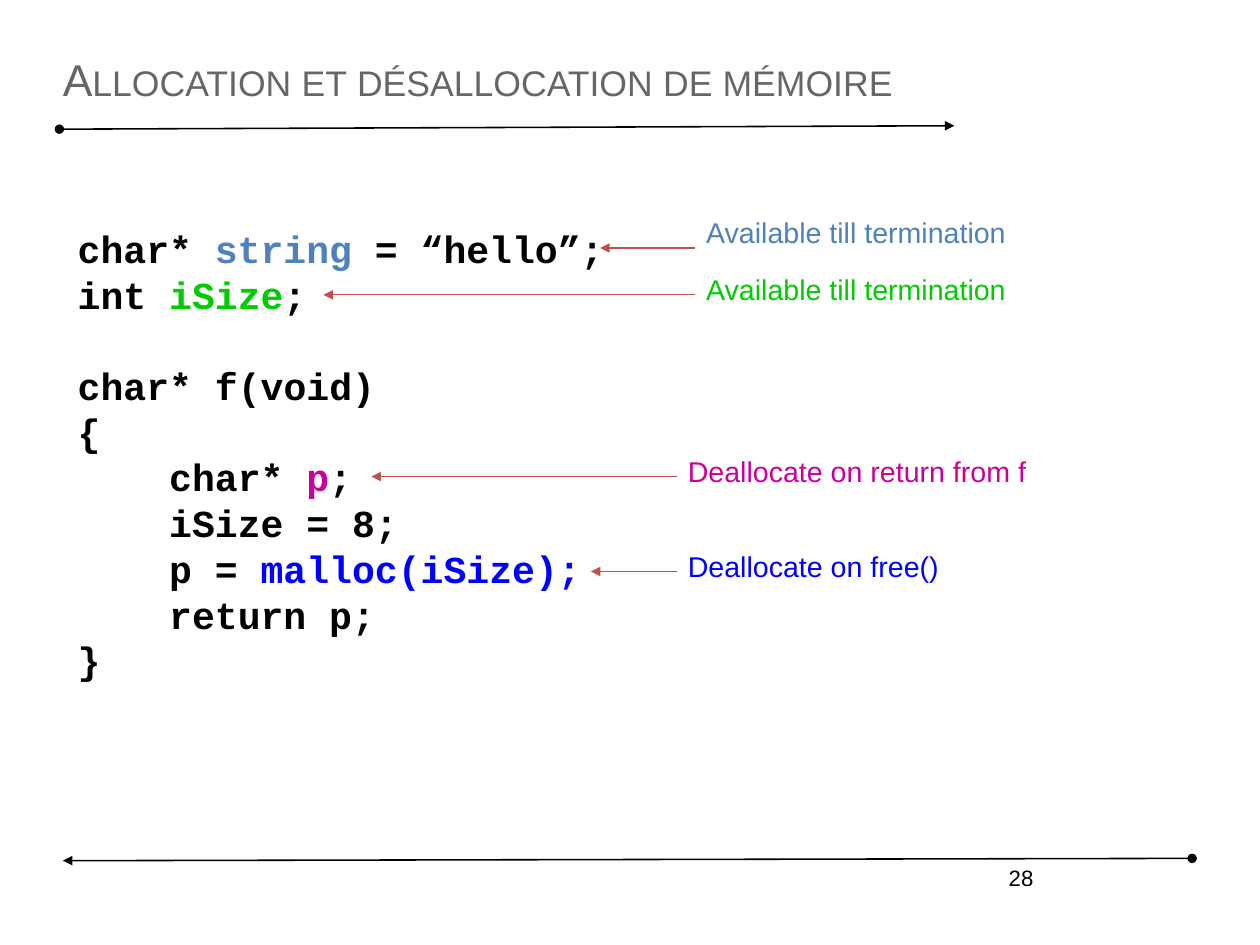
from lxml.etree import SubElement
from pptx import Presentation
from pptx.dml.color import RGBColor
from pptx.enum.shapes import MSO_CONNECTOR
from pptx.enum.text import MSO_ANCHOR, MSO_AUTO_SIZE, PP_ALIGN
from pptx.oxml.ns import qn
from pptx.util import Cm, Inches, Pt

BLACK = RGBColor(0x00, 0x00, 0x00)
GREY = RGBColor(0x66, 0x66, 0x66)
STEEL = RGBColor(0x4F, 0x81, 0xBD)
GREEN = RGBColor(0x00, 0xCC, 0x00)
MAGENTA = RGBColor(0xCC, 0x00, 0x99)
BLUE = RGBColor(0x00, 0x00, 0xFF)
RED = RGBColor(0xC0, 0x50, 0x4D)

CODE_LINE = Pt(28.8)
CODE_INDENT = Inches(0.8)

# Each line: indent level, blank lines above, coloured pieces
CODE = [
    (0, 0, [("char* ", BLACK), ("string", STEEL), (" = “hello”;", BLACK)]),
    (0, 0, [("int ", BLACK), ("iSize", GREEN), (";", BLACK)]),
    (0, 1, [("char* f(void)", BLACK)]),
    (0, 0, [("{", BLACK)]),
    (1, 0, [("char* ", BLACK), ("p", MAGENTA), (";", BLACK)]),
    (1, 0, [("iSize = 8;", BLACK)]),
    (1, 0, [("p = ", BLACK), ("malloc(iSize);", BLUE)]),
    (1, 0, [("return p;", BLACK)]),
    (0, 0, [("}", BLACK)]),
]

# Each note: text, colour, left, top, width, arrow tip
NOTES = [
    ("Available till termination", STEEL, 6.08, 1.83, 3.56, (5.25, 2.17)),
    ("Available till termination", GREEN, 6.08, 2.33, 3.56, (2.83, 2.58)),
    ("Deallocate on return from f", MAGENTA, 5.92, 3.92, 3.84, (3.25, 4.17)),
    ("Deallocate on free()", BLUE, 5.92, 4.75, 2.86, (5.17, 5)),
]
NOTE_HEIGHT = 0.5


class SlideBuilder:
    font = "Arial"
    code_font = "Courier New"

    def __init__(self, slide):
        self.slide = slide

    def place(self, shape, left, top, width, height):
        shape.left, shape.top = Inches(left), Inches(top)
        shape.width, shape.height = Inches(width), Inches(height)

    def format_run(self, run, size, color, font=None, bold=False):
        run.font.name = font or self.font
        run.font.size = Pt(size)
        run.font.bold = bold
        run.font.color.rgb = color

    def title(self, text, *box):
        shape = self.slide.shapes.title
        self.place(shape, *box)
        frame = shape.text_frame
        frame.text = text
        frame.auto_size = MSO_AUTO_SIZE.NONE
        frame.vertical_anchor = MSO_ANCHOR.MIDDLE
        frame.margin_left = frame.margin_right = 0
        frame.margin_top = frame.margin_bottom = 0
        paragraph = frame.paragraphs[0]
        paragraph.alignment = PP_ALIGN.LEFT
        run = paragraph.runs[0]
        self.format_run(run, 28, GREY)
        run.font._element.set("cap", "small")

    def code(self, lines, *box):
        shape = self.slide.placeholders[1]
        self.place(shape, *box)
        frame = shape.text_frame
        frame.auto_size = MSO_AUTO_SIZE.NONE
        for number, (level, blanks, pieces) in enumerate(lines):
            paragraph = frame.add_paragraph() if number else frame.paragraphs[0]
            paragraph.line_spacing = CODE_LINE
            paragraph.space_before = Pt(blanks * CODE_LINE.pt)
            properties = paragraph._p.get_or_add_pPr()
            properties.set("marL", str(level * CODE_INDENT))
            properties.set("indent", "0")
            SubElement(properties, qn("a:buNone"))
            for text, color in pieces:
                run = paragraph.add_run()
                run.text = text
                self.format_run(run, 24, color, self.code_font, True)

    def text(self, text, size, color, *box, alignment=PP_ALIGN.LEFT):
        shape = self.slide.shapes.add_textbox(*map(Inches, box))
        frame = shape.text_frame
        frame.text = text
        frame.word_wrap = True
        paragraph = frame.paragraphs[0]
        paragraph.alignment = alignment
        self.format_run(paragraph.runs[0], size, color)
        return shape

    def arrow(self, start, end, color, width, head=None):
        connector = self.slide.shapes.add_connector(
            MSO_CONNECTOR.STRAIGHT, *map(Inches, (*start, *end)))
        connector.line.color.rgb = color
        connector.line.width = Pt(width)
        line = connector.line._get_or_add_ln()
        if head:
            SubElement(line, qn("a:headEnd"), type=head)
        SubElement(line, qn("a:tailEnd"), type="triangle")
        SubElement(connector._element.spPr, qn("a:effectLst"))
        return connector

    def note(self, text, color, left, top, width, tip):
        """Add a label and the arrow from it to its line of code."""
        label = self.text(text, 18, color, left, top, width, NOTE_HEIGHT)
        label.text_frame.word_wrap = False
        label.text_frame.auto_size = MSO_AUTO_SIZE.SHAPE_TO_FIT_TEXT
        arrow = self.arrow((left, tip[1]), tip, RED, 0.75)
        if abs(top + NOTE_HEIGHT / 2 - tip[1]) < 0.01:
            arrow.begin_connect(label, 1)


def main():
    presentation = Presentation()
    presentation.slide_width = Cm(28)
    presentation.slide_height = Cm(21)
    slide = presentation.slides.add_slide(presentation.slide_layouts[1])
    builder = SlideBuilder(slide)

    builder.arrow((0.52, 1.13), (8.35, 1.1), BLACK, 1, head="oval")
    builder.arrow((10.43, 7.51), (0.55, 7.53), BLACK, 1, head="oval")
    builder.text("28", 14, BLACK, 6.57, 7.51, 2.57, 0.57, alignment=PP_ALIGN.RIGHT)
    builder.title("Allocation et désallocation de mémoire", 0.55, 0.33, 9.92, 0.72)
    builder.code(CODE, 0.58, 1.92, 5, 4.08)
    for note in NOTES:
        builder.note(*note)

    presentation.save("out.pptx")


if __name__ == "__main__":
    main()
